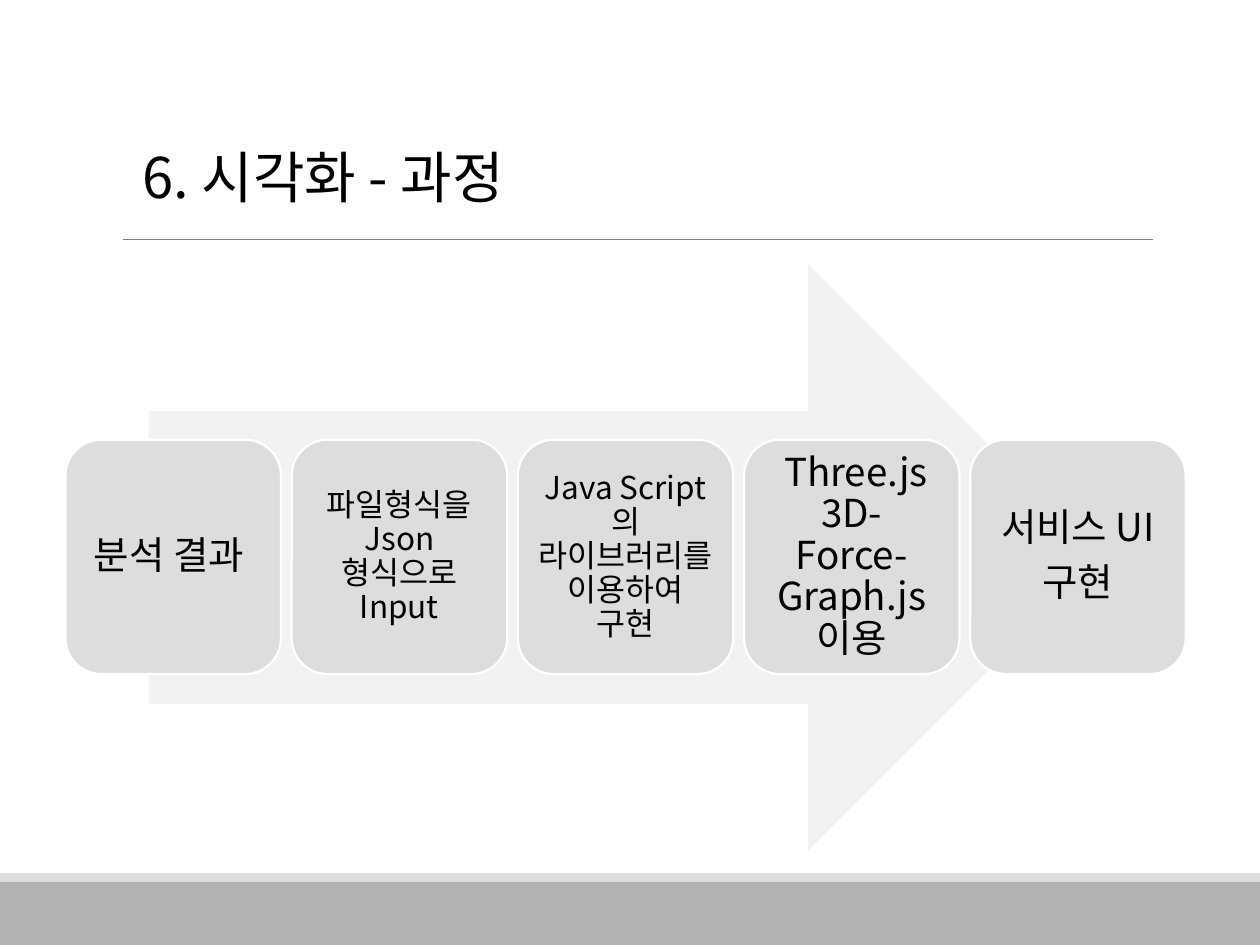
import pptx
import pptx.util
import pptx.dml.color
import pptx.enum.shapes
import pptx.enum.text

Inches, Pt = pptx.util.Inches, pptx.util.Pt
RGB = pptx.dml.color.RGBColor.from_string
SHAPE = pptx.enum.shapes.MSO_SHAPE
ALIGN = pptx.enum.text.PP_ALIGN
ANCHOR = pptx.enum.text.MSO_ANCHOR

# Content
TITLE = "6. 시각화 - 과정"
STEPS = [  # text, type size, inset
    ("분석 결과 ", "large", 0.09),
    ("파일형식을 Json 형식으로 Input", "small", 0.07),
    ("Java Script의 라이브러리를 이용하여 구현", "small", 0.07),
    (" Three.js\v3D-Force-Graph.js 이용", "large", 0.09),
    ("서비스 UI\n구현", "large", 0.09),
]

THEME = {
    "font": "Noto Sans CJK KR",
    "title": 32, "large": 22, "small": 18,
    "text": "000000", "footer": "B2B2B2", "step": "DDDDDD",
    "arrow": "F2F2F2", "rule": "808080", "outline": "FFFFFF",
}
STEP_LEFT, STEP_TOP, STEP_W, STEP_H, STEP_PITCH = 0.52, 3.49, 1.71, 1.86, 1.795


def add_block(s, kind, box, color, outline=None):
    sp = s.shapes.add_shape(kind, *map(Inches, box))
    sp.shadow.inherit = False
    sp.fill.solid()
    sp.fill.fore_color.rgb = RGB(THEME[color])
    if outline:
        sp.line.color.rgb = RGB(THEME[outline])
        sp.line.width = Pt(1.25)
    else:
        sp.line.fill.background()
    return sp


def set_text(tf, text, size, align, space_after=0):
    tf.text = text
    tf.word_wrap = True
    tf.vertical_anchor = ANCHOR.MIDDLE
    for p in tf.paragraphs:
        p.alignment = align
        p.line_spacing = 0.9
        p.space_after = Pt(space_after)
        for r in p.runs:
            r.font.name = THEME["font"]
            r.font.size = Pt(THEME[size])
            r.font.color.rgb = RGB(THEME["text"])
            # East Asian typeface follows the Latin one
            ea = r.font._element.makeelement(pptx.oxml.ns.qn("a:ea"), {"typeface": THEME["font"]})
            r.font._element.append(ea)


prs = pptx.Presentation()
prs.slide_width, prs.slide_height = Inches(10), Inches(7.5)
s = prs.slides.add_slide(prs.slide_layouts[5])

# Footer bands
add_block(s, SHAPE.RECTANGLE, (0, 7, 10, 0.5), "footer")
add_block(s, SHAPE.RECTANGLE, (0, 6.93, 10, 0.07), "step")

# Title and the rule below it
title = s.shapes.title
title.left, title.top, title.width, title.height = map(Inches, (1.03, 0.92, 9, 1.02))
set_text(title.text_frame, TITLE, "title", ALIGN.LEFT)
rule = s.shapes.add_connector(
    pptx.enum.shapes.MSO_CONNECTOR.STRAIGHT,
    Inches(0.98), Inches(1.9), Inches(9.15), Inches(1.9))
rule.line.color.rgb = RGB(THEME["rule"])
rule.line.width = Pt(0.5)
rule._element.spPr.append(
    rule._element.makeelement(pptx.oxml.ns.qn("a:effectLst"), {}))

# Process arrow with its steps
add_block(s, SHAPE.RIGHT_ARROW, (1.18, 2.1, 7.56, 4.65), "arrow")
for i, (text, size, inset) in enumerate(STEPS):
    box = (STEP_LEFT + i * STEP_PITCH, STEP_TOP, STEP_W, STEP_H)
    sp = add_block(s, SHAPE.ROUNDED_RECTANGLE, box, "step", "outline")
    tf = sp.text_frame
    tf.margin_left = tf.margin_right = tf.margin_top = tf.margin_bottom = Inches(inset)
    set_text(tf, text, size, ALIGN.CENTER, THEME[size] * 0.35)

prs.save("out.pptx")
